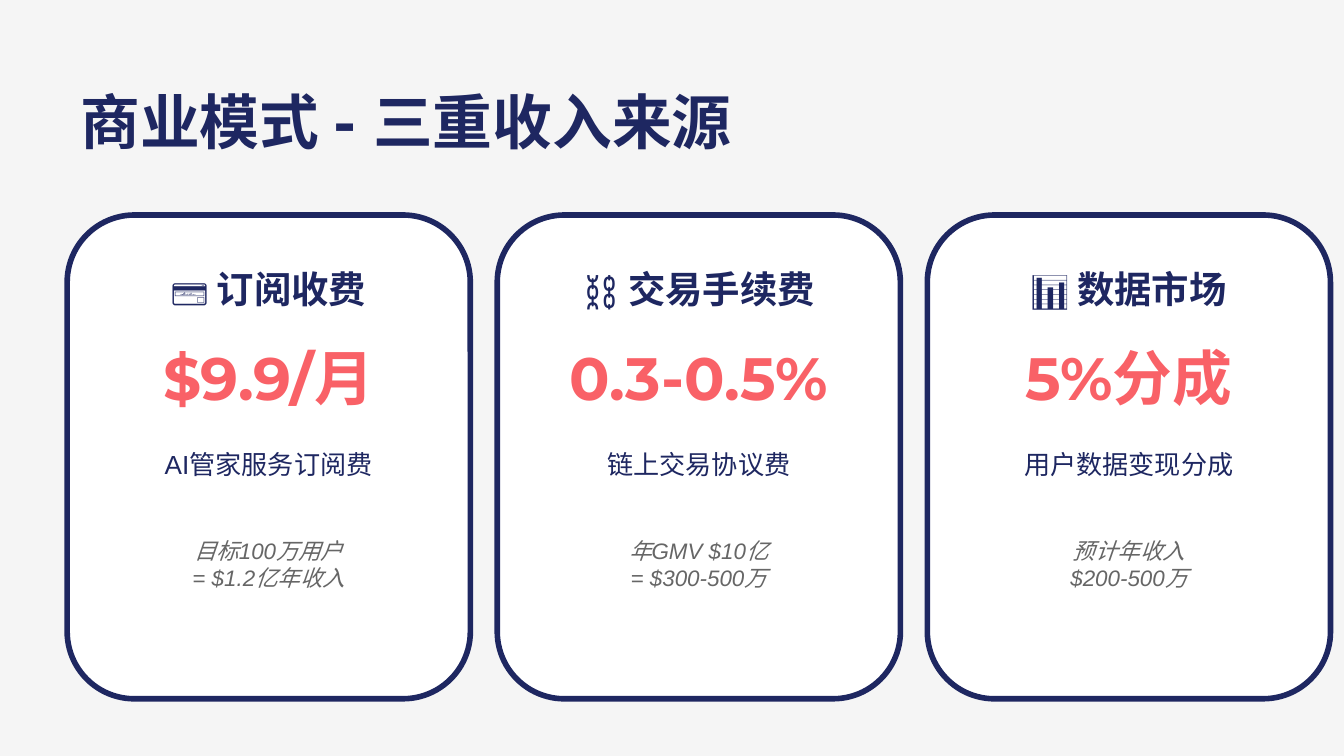
from dataclasses import dataclass

from pptx import Presentation
from pptx.dml.color import RGBColor
from pptx.enum.shapes import MSO_SHAPE as Shape
from pptx.enum.text import MSO_ANCHOR as Anchor, PP_ALIGN as Align
from pptx.slide import Slide
from pptx.util import Emu, Pt

EMU_PER_PX = 11430  # 80 px to the inch

NAVY, CORAL, GRAY = "1E2761", "F96167", "666666"
WHITE, BACKGROUND = "FFFFFF", "F5F5F5"

CARD_LEFT, CARD_TOP, CARD_WIDTH, CARD_HEIGHT = 40, 128, 240, 288
CARD_STEP = CARD_WIDTH + 16


@dataclass(frozen=True)
class TextStyle:
    size: int
    font: str
    color: str
    bold: bool = False
    italic: bool = False
    align: Align = Align.CENTER


@dataclass(frozen=True)
class Row:
    """A line of card text, placed relative to the card's corner."""
    inset: int
    top: int
    height: int
    style: TextStyle


@dataclass(frozen=True)
class RevenueCard:
    heading: str
    price: str
    description: str
    forecast: str


TITLE_STYLE = TextStyle(32, "Montserrat", NAVY, bold=True, align=Align.LEFT)

ROWS = {
    "heading": Row(16, 24, 40, TextStyle(20, "Montserrat", NAVY, bold=True)),
    "price": Row(16, 72, 48, TextStyle(32, "Montserrat", CORAL, bold=True)),
    "description": Row(24, 128, 40, TextStyle(14, "Arial", NAVY)),
    "forecast": Row(24, 176, 64, TextStyle(12, "Arial", GRAY, italic=True)),
}

CARDS = [
    RevenueCard("💳 订阅收费", "$9.9/月", "AI管家服务订阅费", "目标100万用户\n= $1.2亿年收入"),
    RevenueCard("⛓️ 交易手续费", "0.3-0.5%", "链上交易协议费", "年GMV $10亿\n= $300-500万"),
    RevenueCard("📊 数据市场", "5%分成", "用户数据变现分成", "预计年收入\n$200-500万"),
]


def px(value: int) -> Emu:
    return Emu(value * EMU_PER_PX)


def rgb(value: str) -> RGBColor:
    return RGBColor.from_string(value)


def add_text(slide: Slide, text: str, left: int, top: int, width: int, height: int,
             style: TextStyle) -> None:
    box = slide.shapes.add_textbox(px(left), px(top), px(width), px(height))
    text_frame = box.text_frame
    text_frame.word_wrap = True
    text_frame.vertical_anchor = Anchor.MIDDLE
    text_frame.text = text
    for paragraph in text_frame.paragraphs:
        paragraph.alignment = style.align
        for run in paragraph.runs:
            run.font.size = Pt(style.size)
            run.font.name = style.font
            run.font.bold = style.bold
            run.font.italic = style.italic
            run.font.color.rgb = rgb(style.color)


def add_card(slide: Slide, card: RevenueCard, left: int) -> None:
    # Card outline
    shape = slide.shapes.add_shape(Shape.ROUNDED_RECTANGLE, px(left), px(CARD_TOP),
                                   px(CARD_WIDTH), px(CARD_HEIGHT))
    shape.shadow.inherit = False
    shape.fill.solid()
    shape.fill.fore_color.rgb = rgb(WHITE)
    shape.line.color.rgb = rgb(NAVY)
    shape.line.width = Pt(3)

    # Card text, row by row
    for name, row in ROWS.items():
        add_text(slide, getattr(card, name), left + row.inset, CARD_TOP + row.top,
                 CARD_WIDTH - 2 * row.inset, row.height, row.style)


def main() -> None:
    presentation = Presentation()
    presentation.slide_width = px(800)
    presentation.slide_height = px(450)
    slide = presentation.slides.add_slide(presentation.slide_layouts[6])

    # Background and title
    slide.background.fill.solid()
    slide.background.fill.fore_color.rgb = rgb(BACKGROUND)
    add_text(slide, "商业模式 - 三重收入来源", 40, 40, 720, 64, TITLE_STYLE)

    # Revenue cards
    for index, card in enumerate(CARDS):
        add_card(slide, card, CARD_LEFT + index * CARD_STEP)

    presentation.save("out.pptx")


if __name__ == "__main__":
    main()
